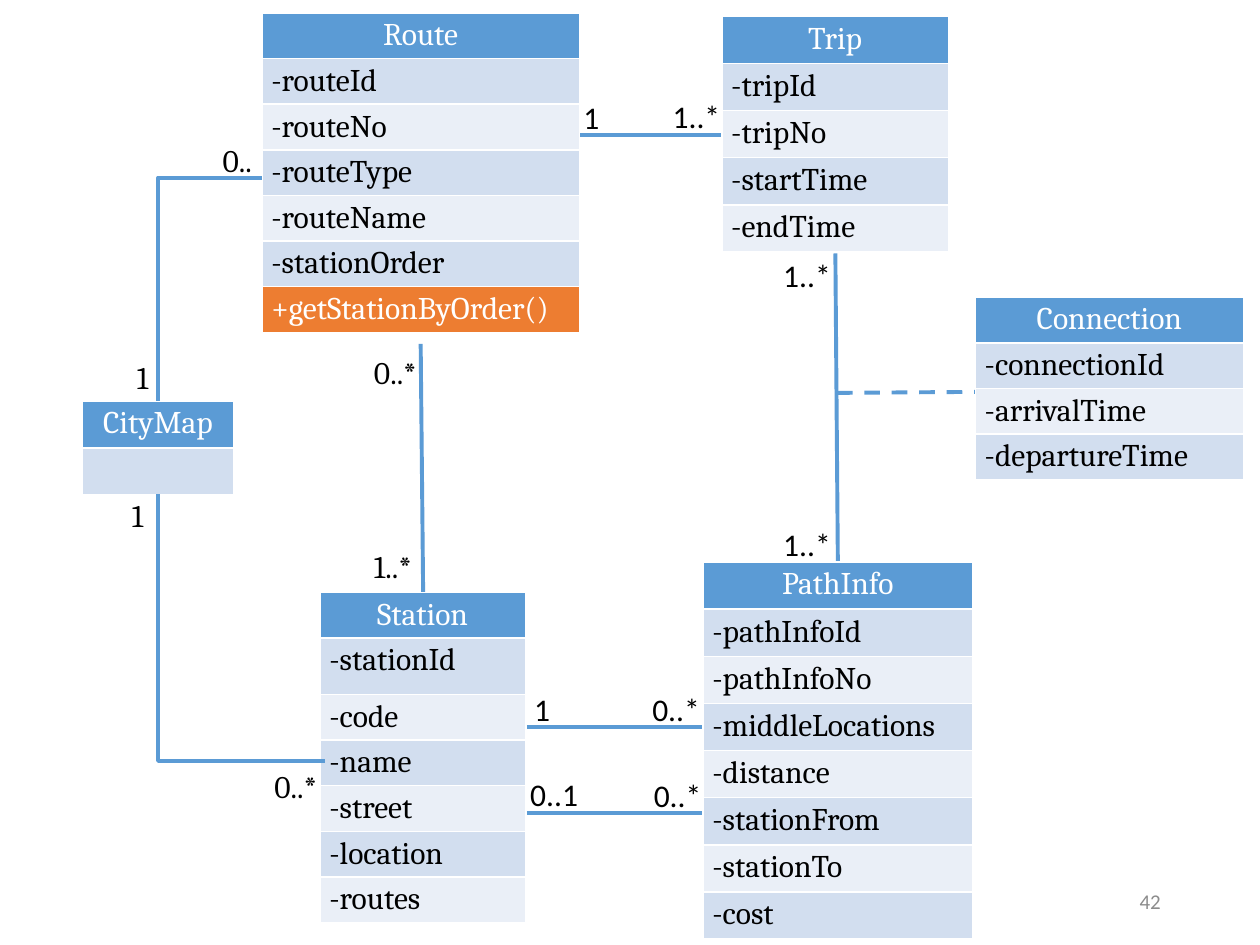
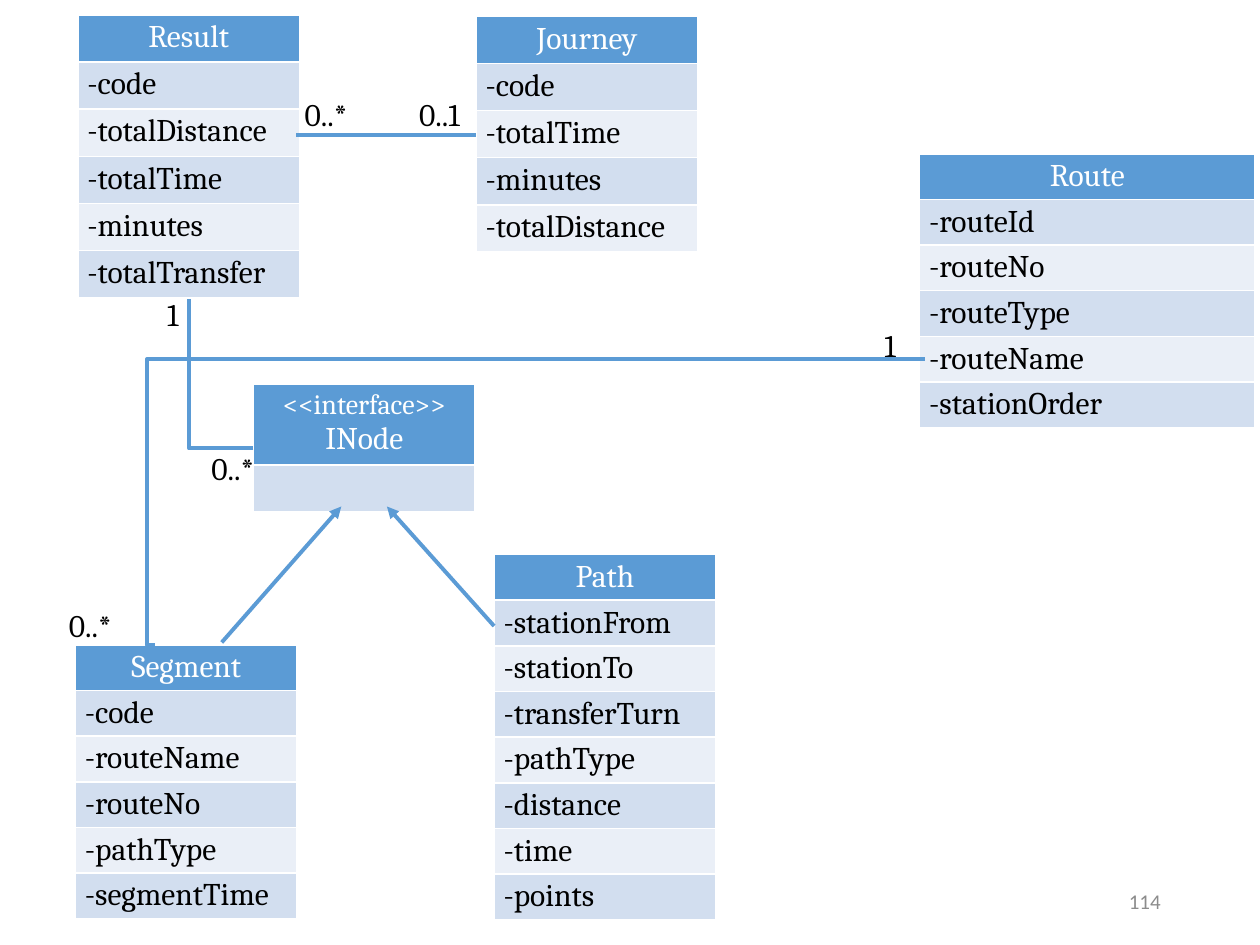
from dataclasses import dataclass

from lxml.etree import SubElement
from pptx import Presentation
from pptx.dml.color import RGBColor
from pptx.enum.dml import MSO_LINE
from pptx.enum.shapes import MSO_CONNECTOR
from pptx.enum.text import MSO_ANCHOR, MSO_AUTO_SIZE, PP_ALIGN
from pptx.oxml.ns import qn
from pptx.shapes.connector import Connector
from pptx.slide import Slide
from pptx.table import _Cell
from pptx.text.text import _Paragraph
from pptx.util import Cm, Pt

BLUE = RGBColor(0x5B, 0x9B, 0xD5)
ORANGE = RGBColor(0xED, 0x7D, 0x31)
BAND_DARK = RGBColor(0xD2, 0xDE, 0xEF)
BAND_LIGHT = RGBColor(0xEA, 0xEF, 0xF7)
WHITE = RGBColor(0xFF, 0xFF, 0xFF)
BLACK = RGBColor(0, 0, 0)
GREY = RGBColor(0x8C, 0x8C, 0x8C)

SERIF = "Cambria"
SANS = "Calibri"
COMPACT_ROW = 0.92
ROOMY_ROW = 0.95
LABEL_HEIGHT = 1.03
LABEL_WIDTHS = {"1": 0.85, "0..": 1.17, "0..*": 1.52, "1..*": 1.52, "0..1": 1.52}

Point = tuple[float, float]


@dataclass(frozen=True)
class ClassTable:
    """A UML class; row_heights overrides single rows by index. Lengths in cm."""
    name: str
    left: float
    top: float
    width: float
    members: tuple[str, ...]
    row_height: float = COMPACT_ROW
    row_heights: tuple[tuple[int, float], ...] = ()
    stereotype: str = ""


@dataclass(frozen=True)
class Link:
    start: Point
    end: Point
    dashed: bool = False
    arrow: bool = False


@dataclass(frozen=True)
class Elbow:
    """A bent link leaving start sideways; turn is the share of the width before the bend."""
    start: Point
    end: Point
    turn: float = 1.0


@dataclass(frozen=True)
class Label:
    text: str
    left: float
    top: float
    font: str = SERIF


@dataclass(frozen=True)
class Diagram:
    number: str
    tables: tuple[ClassTable, ...]
    links_below: tuple[Link, ...]
    links_above: tuple[Link, ...]
    elbows: tuple[Elbow, ...]
    labels: tuple[Label, ...]


NETWORK = Diagram(
    number="42",
    tables=(
        ClassTable("Route", 5.28, 0.26, 6.4,
                   ("-routeId", "-routeNo", "-routeType", "-routeName",
                    "-stationOrder", "+getStationByOrder()")),
        ClassTable("Connection", 19.66, 5.99, 5.41,
                   ("-connectionId", "-arrivalTime", "-departureTime")),
        ClassTable("Station", 6.45, 11.94, 4.14,
                   ("-stationId", "-code", "-name", "-street", "-location", "-routes"),
                   row_heights=((1, 1.14),)),
        ClassTable("Trip", 14.55, 0.33, 4.57,
                   ("-tripId", "-tripNo", "-startTime", "-endTime"), ROOMY_ROW),
        ClassTable("CityMap", 1.65, 8.08, 3.07, ("",), ROOMY_ROW),
        ClassTable("PathInfo", 14.17, 11.33, 5.44,
                   ("-pathInfoId", "-pathInfoNo", "-middleLocations", "-distance",
                    "-stationFrom", "-stationTo", "-cost"), ROOMY_ROW),
    ),
    links_below=(
        Link((10.62, 14.66), (15.52, 14.66)),
        Link((10.62, 16.38), (15.52, 16.38)),
        Link((10.52, 2.72), (14.55, 2.72)),
        Link((16.87, 7.92), (19.66, 7.9), dashed=True),
        Link((16.84, 5.11), (16.89, 11.33)),
        Link((8.48, 6.93), (8.53, 11.94)),
    ),
    links_above=(),
    elbows=(
        Elbow((5.28, 3.58), (3.19, 8.08)),
        Elbow((6.55, 15.34), (3.19, 9.96)),
    ),
    labels=(
        Label("1", 10.52, 13.79, SANS),
        Label("0..*", 12.9, 13.79, SANS),
        Label("0..1", 10.44, 15.49, SANS),
        Label("0..*", 12.93, 15.52, SANS),
        Label("1", 11.51, 1.85, SANS),
        Label("1..*", 13.31, 1.83, SANS),
        Label("1..*", 15.54, 5.03, SANS),
        Label("1..*", 15.54, 10.46, SANS),
        Label("0..*", 7.29, 6.99),
        Label("1..*", 7.29, 10.9),
        Label("0..", 4.24, 2.72),
        Label("1", 2.51, 7.09),
        Label("0..*", 5.28, 15.34),
        Label("1", 2.41, 9.88),
    ),
)

JOURNEY_RESULT = Diagram(
    number="114",
    tables=(
        ClassTable("Path", 9.96, 11.18, 4.47,
                   ("-stationFrom", "-stationTo", "-transferTurn", "-pathType",
                    "-distance", "-time", "-points")),
        ClassTable("Route", 18.54, 3.1, 6.76,
                   ("-routeId", "-routeNo", "-routeType", "-routeName", "-stationOrder")),
        ClassTable("Segment", 1.52, 13, 4.47,
                   ("-code", "-routeName", "-routeNo", "-pathType", "-segmentTime")),
        ClassTable("INode", 5.11, 7.75, 4.47, ("",), ROOMY_ROW,
                   row_heights=((0, 1.62),), stereotype="<<interface>>"),
        ClassTable("Journey", 9.6, 0.33, 4.47,
                   ("-code", "-totalTime", "-minutes", "-totalDistance"), ROOMY_ROW),
        ClassTable("Result", 1.57, 0.3, 4.47,
                   ("-code", "-totalDistance", "-totalTime", "-minutes",
                    "-totalTransfer"), ROOMY_ROW),
    ),
    links_below=(),
    links_above=(
        Link((5.97, 2.72), (9.6, 2.72)),
        Link((4.47, 12.95), (6.88, 10.21), arrow=True),
        Link((9.96, 12.62), (7.8, 10.21), arrow=True),
    ),
    elbows=(
        Elbow((5.11, 9.04), (3.81, 6.02)),
        Elbow((18.64, 7.24), (3.12, 13), turn=1.01),
    ),
    labels=(
        Label("0..*", 1.14, 12.09),
        Label("1", 3.12, 5.82),
        Label("0..*", 4.01, 8.92),
        Label("0..*", 5.89, 1.8),
        Label("0..1", 8.2, 1.8),
        Label("1", 17.58, 6.45),
    ),
)


def style_text(para: _Paragraph, font: str, size: float, color: RGBColor) -> None:
    para.font.name = font
    para.font.size = Pt(size)
    para.font.bold = False
    para.font.color.rgb = color


def fill_cell(cell: _Cell, fill: RGBColor) -> None:
    cell.fill.solid()
    cell.fill.fore_color.rgb = fill
    cell.margin_left = cell.margin_right = Cm(0.19)
    cell.margin_top = cell.margin_bottom = Cm(0.09)


def add_class_table(page: Slide, item: ClassTable) -> None:
    """Draw a class; the white borders come from the default table style."""
    count = len(item.members) + 1
    heights = [item.row_height] * count
    for index, height in item.row_heights:
        heights[index] = height
    table = page.shapes.add_table(count, 1, Cm(item.left), Cm(item.top),
                                  Cm(item.width), Cm(sum(heights))).table
    for row, height in zip(table.rows, heights):
        row.height = Cm(height)

    header = table.cell(0, 0)
    fill_cell(header, BLUE)
    para = header.text_frame.paragraphs[0]
    if item.stereotype:
        para.text = item.stereotype
        para.alignment = PP_ALIGN.CENTER
        style_text(para, SERIF, 16, WHITE)
        para = header.text_frame.add_paragraph()
    para.text = item.name
    para.alignment = PP_ALIGN.CENTER
    style_text(para, SERIF, 18, WHITE)

    for index, member in enumerate(item.members, start=1):
        is_method = member.startswith("+")
        band = BAND_DARK if index % 2 else BAND_LIGHT
        cell = table.cell(index, 0)
        fill_cell(cell, ORANGE if is_method else band)
        para = cell.text_frame.paragraphs[0]
        para.text = member
        style_text(para, SERIF, 18, WHITE if is_method else BLACK)


def add_line(page: Slide, kind: MSO_CONNECTOR, start: Point, end: Point) -> Connector:
    line = page.shapes.add_connector(kind, *map(Cm, start + end))
    line.line.color.rgb = BLUE
    line.line.width = Pt(2.25)
    SubElement(line._element.spPr, qn("a:effectLst"))
    return line


def add_link(page: Slide, link: Link) -> None:
    line = add_line(page, MSO_CONNECTOR.STRAIGHT, link.start, link.end)
    if link.dashed:
        line.line.dash_style = MSO_LINE.DASH
    if link.arrow:
        SubElement(line.line._get_or_add_ln(), qn("a:tailEnd"), type="triangle")


def add_elbow(page: Slide, elbow: Elbow) -> None:
    line = add_line(page, MSO_CONNECTOR.ELBOW, elbow.start, elbow.end)
    geometry = line._element.spPr.find(qn("a:prstGeom"))
    if elbow.turn == 1:
        geometry.set("prst", "bentConnector2")
    else:
        guides = geometry.find(qn("a:avLst"))
        SubElement(guides, qn("a:gd"), name="adj1", fmla=f"val {round(elbow.turn * 100000)}")


def add_label(page: Slide, label: Label) -> None:
    box = page.shapes.add_textbox(Cm(label.left), Cm(label.top),
                                  Cm(LABEL_WIDTHS[label.text]), Cm(LABEL_HEIGHT))
    frame = box.text_frame
    frame.word_wrap = False
    frame.auto_size = MSO_AUTO_SIZE.SHAPE_TO_FIT_TEXT
    frame.text = label.text
    style_text(frame.paragraphs[0], label.font, 18, BLACK)


def add_page_number(page: Slide, number: str) -> None:
    frame = page.shapes.add_textbox(Cm(17.93), Cm(17.65), Cm(5.72), Cm(1.02)).text_frame
    frame.word_wrap = True
    frame.vertical_anchor = MSO_ANCHOR.MIDDLE
    frame.text = number
    para = frame.paragraphs[0]
    para.alignment = PP_ALIGN.RIGHT
    style_text(para, SANS, 12, GREY)


def add_diagram(page: Slide, diagram: Diagram) -> None:
    for link in diagram.links_below:
        add_link(page, link)
    for table in diagram.tables:
        add_class_table(page, table)
    for link in diagram.links_above:
        add_link(page, link)
    for elbow in diagram.elbows:
        add_elbow(page, elbow)
    for label in diagram.labels:
        add_label(page, label)
    add_page_number(page, diagram.number)


def main() -> None:
    deck = Presentation()
    deck.slide_width = Cm(25.4)
    deck.slide_height = Cm(19.05)
    blank = deck.slide_layouts[6]
    for diagram in (NETWORK, JOURNEY_RESULT):
        add_diagram(deck.slides.add_slide(blank), diagram)
    deck.save("out.pptx")


if __name__ == "__main__":
    main()
